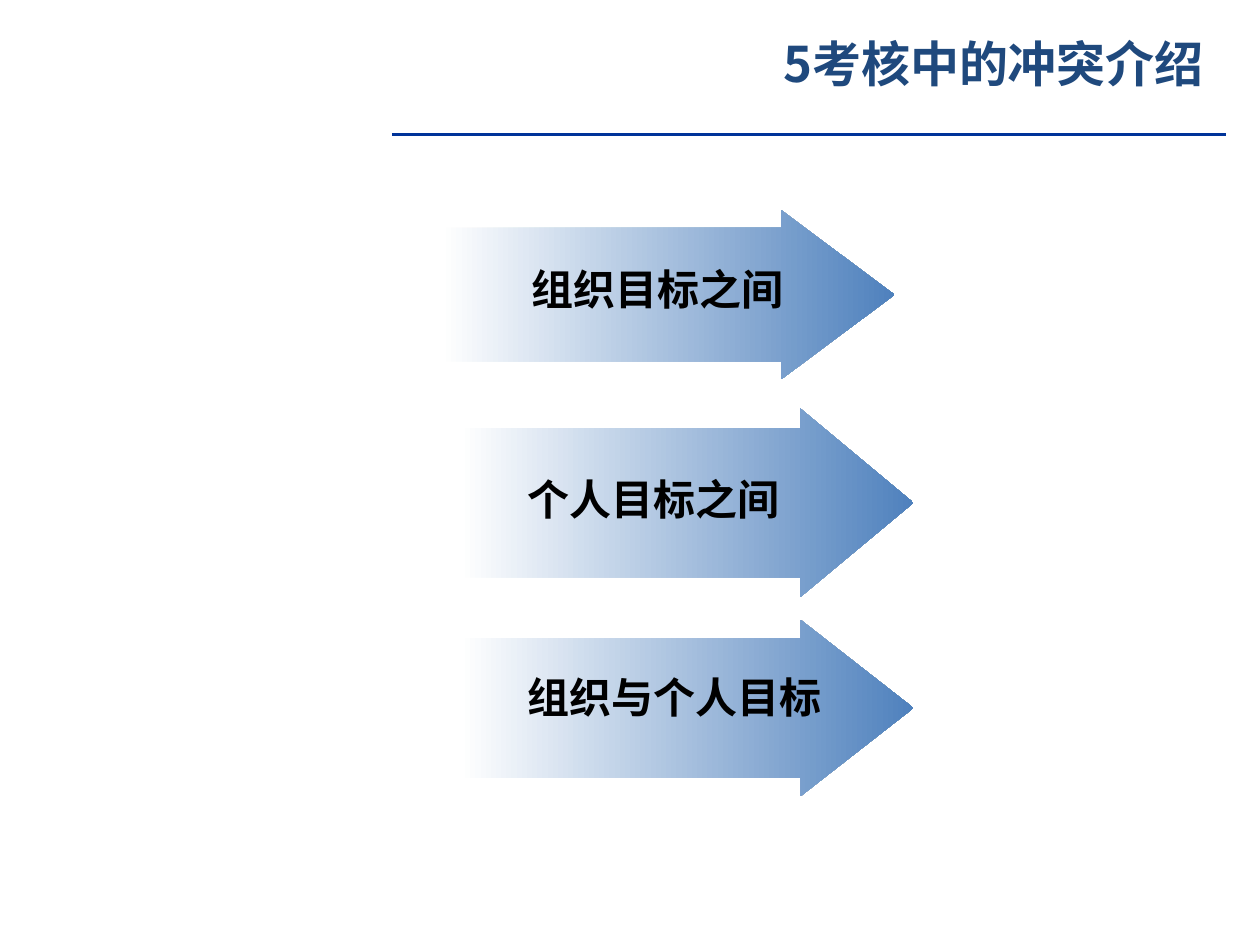
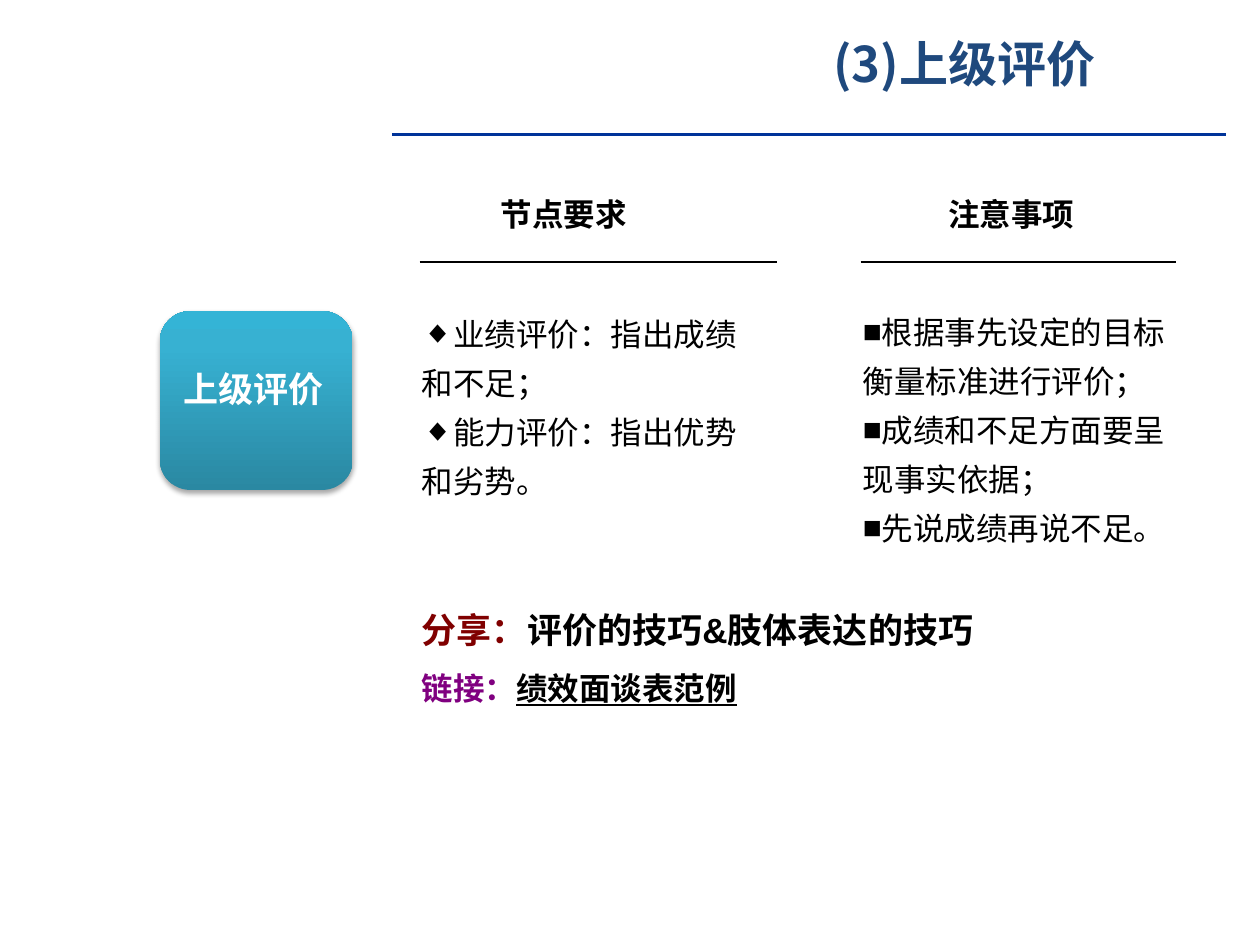
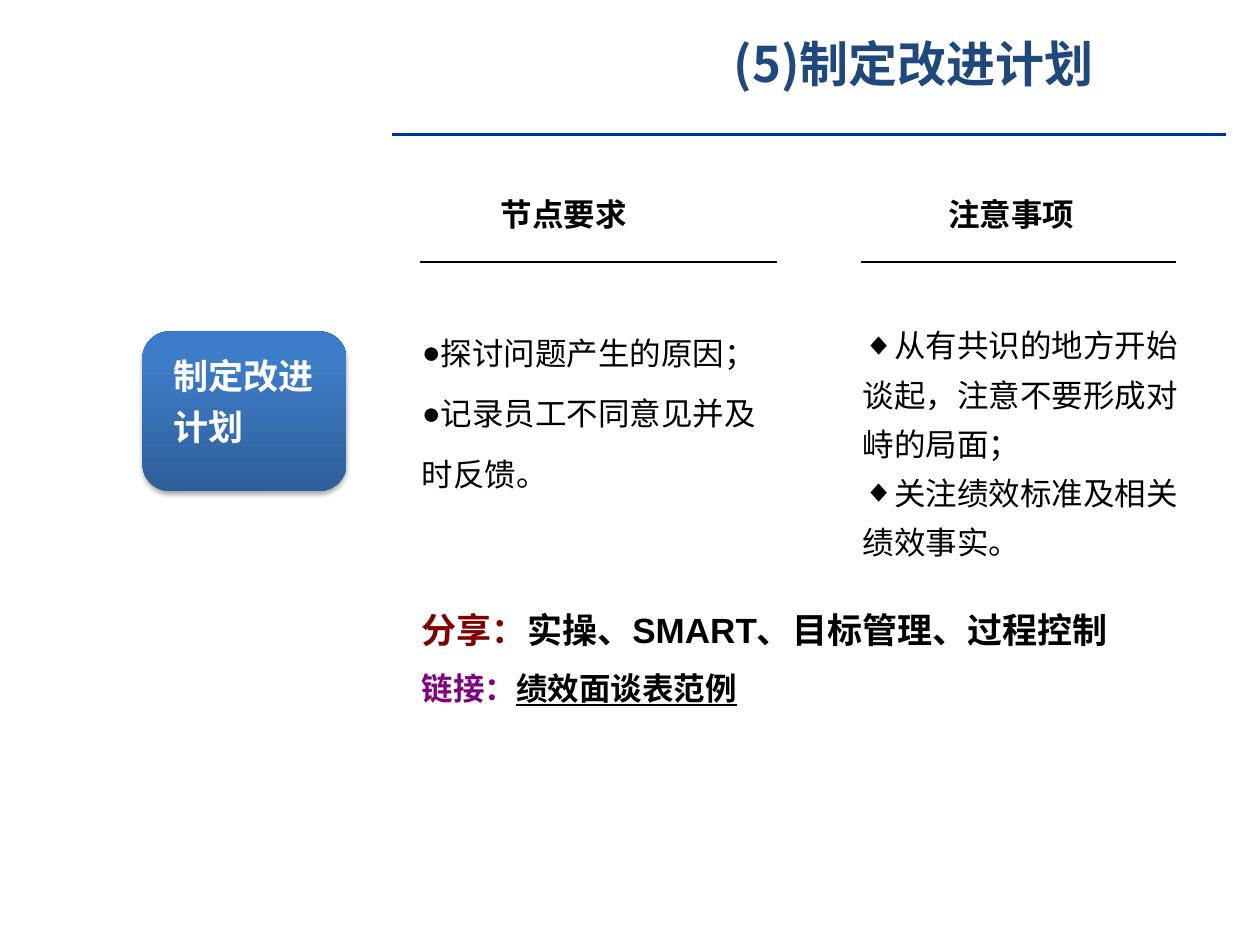
from dataclasses import dataclass

import lxml.etree
import pptx
import pptx.dml.color
import pptx.enum.shapes
import pptx.enum.text
import pptx.oxml
import pptx.oxml.ns
import pptx.util

Pt = pptx.util.Pt
RGB = pptx.dml.color.RGBColor.from_string
qn = pptx.oxml.ns.qn
Shape = pptx.enum.shapes.MSO_SHAPE
Link = pptx.enum.shapes.MSO_CONNECTOR
Anchor = pptx.enum.text.MSO_ANCHOR
Align = pptx.enum.text.PP_ALIGN
Fit = pptx.enum.text.MSO_AUTO_SIZE


@dataclass(frozen=True)
class Theme:
    ink: str = "000000"
    white: str = "FFFFFF"
    navy: str = "1F497D"
    rule: str = "003399"
    arrow: str = "4F81BD"
    share: str = "800000"
    link: str = "800080"
    teal: tuple = ("2A88A2", "37B1D2", "34B4D6")
    blue: tuple = ("2F5F99", "3D7CC7", "3A7CCB")
    title: int = 28
    label: int = 24
    lead: int = 20
    body: int = 18
    sans: str = "Arial"
    hans: str = "Noto Sans CJK SC"


look = Theme()


def write(slide, box, paras, font=look.hans, bold=True, align=None, anchor=Anchor.MIDDLE,
          pad=(7.2, 3.6), grow=True, pitch=None, lead=None, mark=None):
    frame = slide.shapes.add_textbox(*map(Pt, box)).text_frame
    frame.word_wrap = True
    frame.auto_size = Fit.SHAPE_TO_FIT_TEXT if grow else Fit.NONE
    frame.vertical_anchor = anchor
    frame.margin_left = frame.margin_right = Pt(pad[0])
    frame.margin_top = frame.margin_bottom = Pt(pad[1])
    for spot, runs in enumerate(paras):
        para = frame.add_paragraph() if spot else frame.paragraphs[0]
        para.alignment = align
        para.line_spacing = pitch
        props = para._p.get_or_add_pPr()
        if lead:
            space = lxml.etree.SubElement(props, qn("a:spcBef"))
            lxml.etree.SubElement(space, qn("a:spcPct")).set("val", str(lead * 1000))
        if mark:
            lxml.etree.SubElement(props, qn("a:buFont")).set("typeface", look.sans)
            lxml.etree.SubElement(props, qn("a:buChar")).set("char", mark)
        for text, size, tint, under in runs:
            run = para.add_run()
            run.text = text
            run.font.size = Pt(size)
            run.font.bold = bold
            run.font.underline = under
            run.font.color.rgb = RGB(tint)
            run.font.name = font
            east = lxml.etree.SubElement(run.font._element, qn("a:ea"))
            east.set("typeface", look.hans)


def blend(slide, kind, box, sizes, stops, angle):
    shape = slide.shapes.add_shape(kind, *map(Pt, box))
    shape.shadow.inherit = False
    for spot, size in enumerate(sizes):
        shape.adjustments[spot] = size
    shape.line.fill.background()
    shape.fill.gradient()
    grad = shape._element.spPr.find(qn("a:gradFill"))
    grad.find(qn("a:lin")).set("ang", str(angle * 60000))
    steps = grad.find(qn("a:gsLst"))
    for old in list(steps):
        steps.remove(old)
    for place, tint in stops:
        step = lxml.etree.SubElement(steps, qn("a:gs"), pos=str(place * 1000))
        lxml.etree.SubElement(step, qn("a:srgbClr"), val=tint)
    return shape


deck = pptx.Presentation()
deck.slide_width = Pt(720)
deck.slide_height = Pt(540)

titles = [
    ("5考核中的冲突介绍", 397.5, 340.5),
    ("(3)上级评价", 420, 262),
    ("(5)制定改进计划", 402, 240),
]
base = (224, 700.5, 77, look.rule, 2)
bars = [(239.8, 444.2, 149.8, look.ink, 1), (491.8, 671.8, 149.8, look.ink, 1)]

slides = []
for spot, (title, left, width) in enumerate(titles):
    slide = deck.slides.add_slide(deck.slide_layouts[6])
    slides.append(slide)
    write(slide, (left, 12.25, width, 47.5), [[(title, look.title, look.navy, None)]],
          align=Align.CENTER, grow=False)
    for start, end, top, tint, width in [base] + (bars if spot else []):
        line = slide.shapes.add_connector(Link.STRAIGHT, Pt(start), Pt(top), Pt(end), Pt(top))
        line.line.color.rgb = RGB(tint)
        line.line.width = Pt(width)
        lxml.etree.SubElement(line._element.spPr, qn("a:effectLst"))

goals = [
    ("组织目标之间", (252, 120.2, 259.2, 96.5), 0.67, (303.8, 150.5, 151.2, 28.8)),
    ("个人目标之间", (262.8, 233.3, 259.2, 108), 0.6, (301.7, 270.7, 181.4, 28.8)),
    ("组织与个人目标", (262.8, 354.2, 259.2, 100.8), 0.64, (301.7, 383.8, 170.6, 28.8)),
]
for name, box, head, place in goals:
    blend(slides[0], Shape.RIGHT_ARROW, box, (0.79, head),
          [(0, look.white), (100, look.arrow)], 0)
    write(slides[0], place, [[(name, look.label, look.ink, None)]], font=look.sans, pad=(0, 0))

steps = [
    {
        "tile": (91.4, 177.8, 110.2, 102.2), "tints": look.teal,
        "name": ["上级评价"], "place": (97.9, 201.6, 121.7, 36), "pitch": 1.2,
        "lists": [
            ((234, 169.9, 210.2, 119.5), "◆", 1.3, look.hans,
             ["业绩评价：指出成绩和不足；", "能力评价：指出优势和劣势。"]),
            ((486, 168.5, 203.8, 147.6), "■", 1.3, look.sans,
             ["根据事先设定的目标衡量标准进行评价；", "成绩和不足方面要呈现事实依据；",
              "先说成绩再说不足。"]),
        ],
        "share": "评价的技巧&肢体表达的技巧",
    },
    {
        "tile": (81.4, 189.4, 116.6, 91.4), "tints": look.blue,
        "name": ["制定改进", "计划"], "place": (92.2, 203.8, 136.1, 57.6), "pitch": 0.8,
        "lists": [
            ((234, 174.2, 216, 110.9), "●", 1.6, look.hans,
             ["探讨问题产生的原因；", "记录员工不同意见并及时反馈。"]),
            ((486, 176.4, 203.8, 147.6), "◆", 1.3, look.sans,
             ["从有共识的地方开始谈起，注意不要形成对峙的局面；", "关注绩效标准及相关绩效事实。"]),
        ],
        "share": "实操、SMART、目标管理、过程控制",
    },
]
for slide, step in zip(slides[1:], steps):
    for head, left in (("节点要求", 246.2), ("注意事项", 501.8)):
        write(slide, (left, 108, 152, 28.8), [[(head, look.body, look.ink, None)]],
              align=Align.CENTER, anchor=Anchor.TOP, lead=50)
    for box, mark, pitch, font, items in step["lists"]:
        write(slide, box, [[(item, look.body, look.ink, None)] for item in items],
              font=font, bold=False, pitch=pitch, mark=mark)
    write(slide, (234, 331.9, 426.2, 75.6), [
        [("分享：", look.lead, look.share, None), (step["share"], look.lead, look.ink, None)],
        [("链接：", look.body, look.link, None), ("绩效面谈表范例", look.body, look.ink, True)],
    ], font=look.sans, pitch=1.5)
    tile = blend(slide, Shape.ROUNDED_RECTANGLE, step["tile"], (0.17,),
                 zip((0, 80, 100), step["tints"]), 270)
    glow = lxml.etree.SubElement(
        tile._element.spPr.find(qn("a:effectLst")), qn("a:outerShdw"),
        blurRad=str(Pt(3.1)), dist=str(Pt(1.8)), dir="5400000", rotWithShape="0")
    shade = lxml.etree.SubElement(glow, qn("a:srgbClr"), val=look.ink)
    lxml.etree.SubElement(shade, qn("a:alpha"), val="35000")
    write(slide, step["place"], [[(part, look.lead, look.white, None)] for part in step["name"]],
          anchor=Anchor.TOP, pitch=step["pitch"], lead=50)

deck.save("out.pptx")
